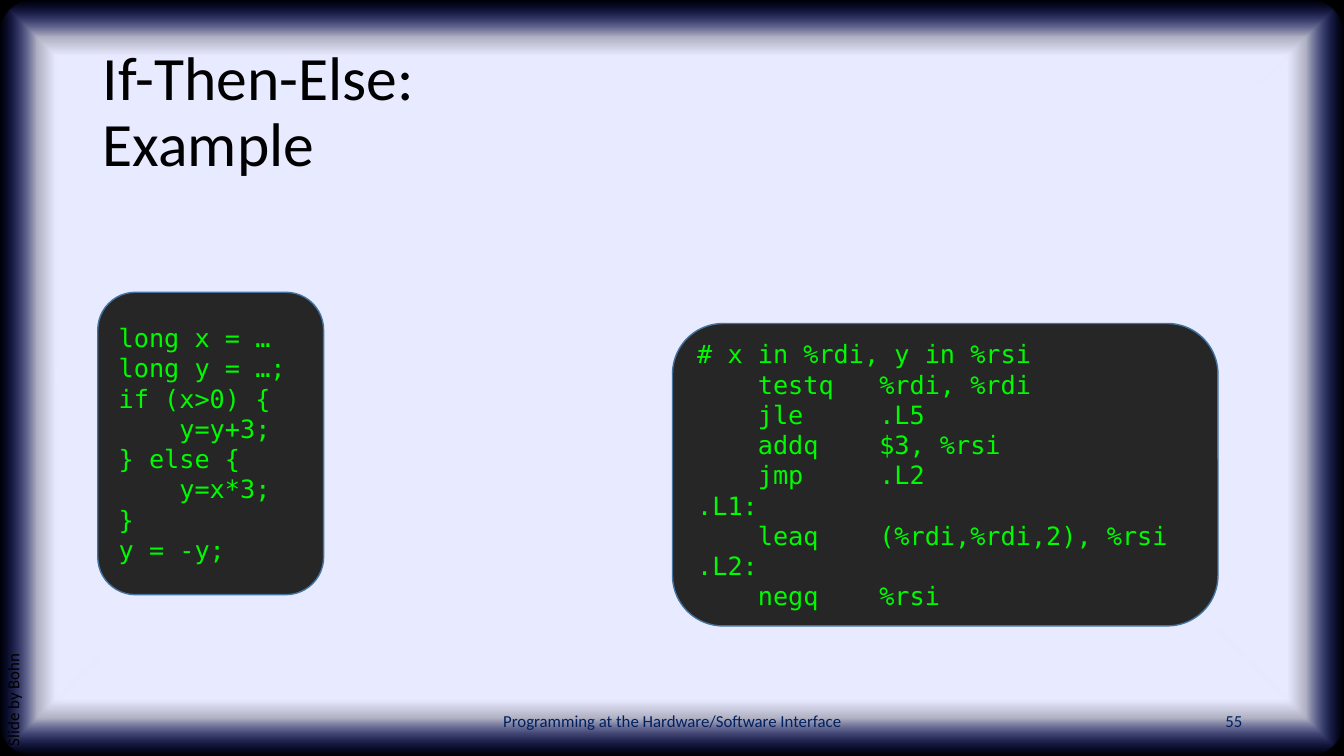
from lxml.etree import SubElement
from pptx import Presentation
from pptx.dml.color import RGBColor
from pptx.enum.shapes import MSO_SHAPE
from pptx.enum.text import MSO_ANCHOR, PP_ALIGN
from pptx.oxml.ns import qn
from pptx.util import Inches, Pt

COLORS = {
    "black": "000000", "panel": "E8EAFF", "glow": "162AFF", "navy": "002060",
    "code_fill": "262626", "code_line": "43739E", "code_text": "00FA00",
}

C_CODE = """long x = …
long y = …;
if (x>0) {
    y=y+3;
} else {
    y=x*3;
}
y = -y;"""

ASSEMBLY = """# x in %rdi, y in %rsi
    testq   %rdi, %rdi
    jle     .L5
    addq    $3, %rsi
    jmp     .L2
.L1:
    leaq    (%rdi,%rdi,2), %rsi
.L2:
    negq    %rsi"""


class SlideBuilder:
    font = "Calibri"
    code_font = "DejaVu Sans Mono"

    def __init__(self, slide):
        self.slide = slide

    def color(self, name):
        return RGBColor.from_string(COLORS[name])

    def shape(self, kind, box, fill, line=None):
        sp = self.slide.shapes.add_shape(kind, *map(Inches, box))
        sp.shadow.inherit = False
        sp.fill.solid()
        sp.fill.fore_color.rgb = self.color(fill)
        if line:
            sp.line.color.rgb = self.color(line)
            sp.line.width = Pt(1)
        else:
            sp.line.fill.background()
        return sp

    def format_text(self, tf, text, size, color, font, align, anchor, spacing=None):
        tf.text = text
        tf.word_wrap = True
        tf.vertical_anchor = anchor
        for p in tf.paragraphs:
            p.alignment = align
            p.line_spacing = spacing
            for r in p.runs:
                r.font.size = Pt(size)
                r.font.name = font
                r.font.color.rgb = self.color(color)

    def text(self, box, text, size=12, color="black", align=PP_ALIGN.LEFT,
             anchor=MSO_ANCHOR.MIDDLE, spacing=None, rotation=0):
        sp = self.slide.shapes.add_textbox(*map(Inches, box))
        sp.rotation = rotation
        self.format_text(sp.text_frame, text, size, color, self.font,
                         align, anchor, spacing)

    def code(self, box, text):
        sp = self.shape(MSO_SHAPE.ROUNDED_RECTANGLE, box, "code_fill", "code_line")
        self.format_text(sp.text_frame, text, 18, "code_text", self.code_font,
                         PP_ALIGN.LEFT, MSO_ANCHOR.MIDDLE)

    def frame(self, box, stops):
        self.shape(MSO_SHAPE.RECTANGLE, box, "black")
        sp = self.shape(MSO_SHAPE.ROUNDED_RECTANGLE, box, "panel")
        sp.adjustments[0] = 0.048
        solid = sp.element.spPr.find(qn("a:solidFill"))
        grad = SubElement(sp.element.spPr, qn("a:gradFill"), rotWithShape="1")
        solid.getparent().replace(solid, grad)
        stop_list = SubElement(grad, qn("a:gsLst"))
        for position, name, alpha in stops:
            gs = SubElement(stop_list, qn("a:gs"), pos=str(position * 1000))
            clr = SubElement(gs, qn("a:srgbClr"), val=COLORS[name])
            if alpha < 100:
                SubElement(clr, qn("a:alpha"), val=str(alpha * 1000))
        path = SubElement(grad, qn("a:path"), path="shape")
        SubElement(path, qn("a:fillToRect"), l="50000", t="50000", r="50000", b="50000")


def main():
    prs = Presentation()
    prs.slide_width = Inches(13.33)
    prs.slide_height = Inches(7.5)
    s = SlideBuilder(prs.slides.add_slide(prs.slide_layouts[6]))

    s.frame((0, 0, 13.33, 7.5),
            [(85, "panel", 100), (90, "panel", 75), (100, "glow", 0)])
    s.text((0.92, 0.4, 11.5, 1.45), "If-Then-Else:\vExample", size=44, spacing=0.9)
    s.text((4.42, 6.95, 4.5, 0.4), "Programming at the Hardware/Software Interface",
           color="navy", align=PP_ALIGN.CENTER)
    s.text((9.42, 6.95, 3, 0.4), "55", color="navy", align=PP_ALIGN.RIGHT)
    s.text((-2.44, 4.66, 5.28, 0.4), "Slide by Bohn", anchor=MSO_ANCHOR.TOP,
           spacing=0.9, rotation=270)
    s.code((0.97, 2.9, 2.24, 3), C_CODE)
    s.code((6.67, 3.21, 5.41, 3), ASSEMBLY)

    prs.save("out.pptx")


if __name__ == "__main__":
    main()
